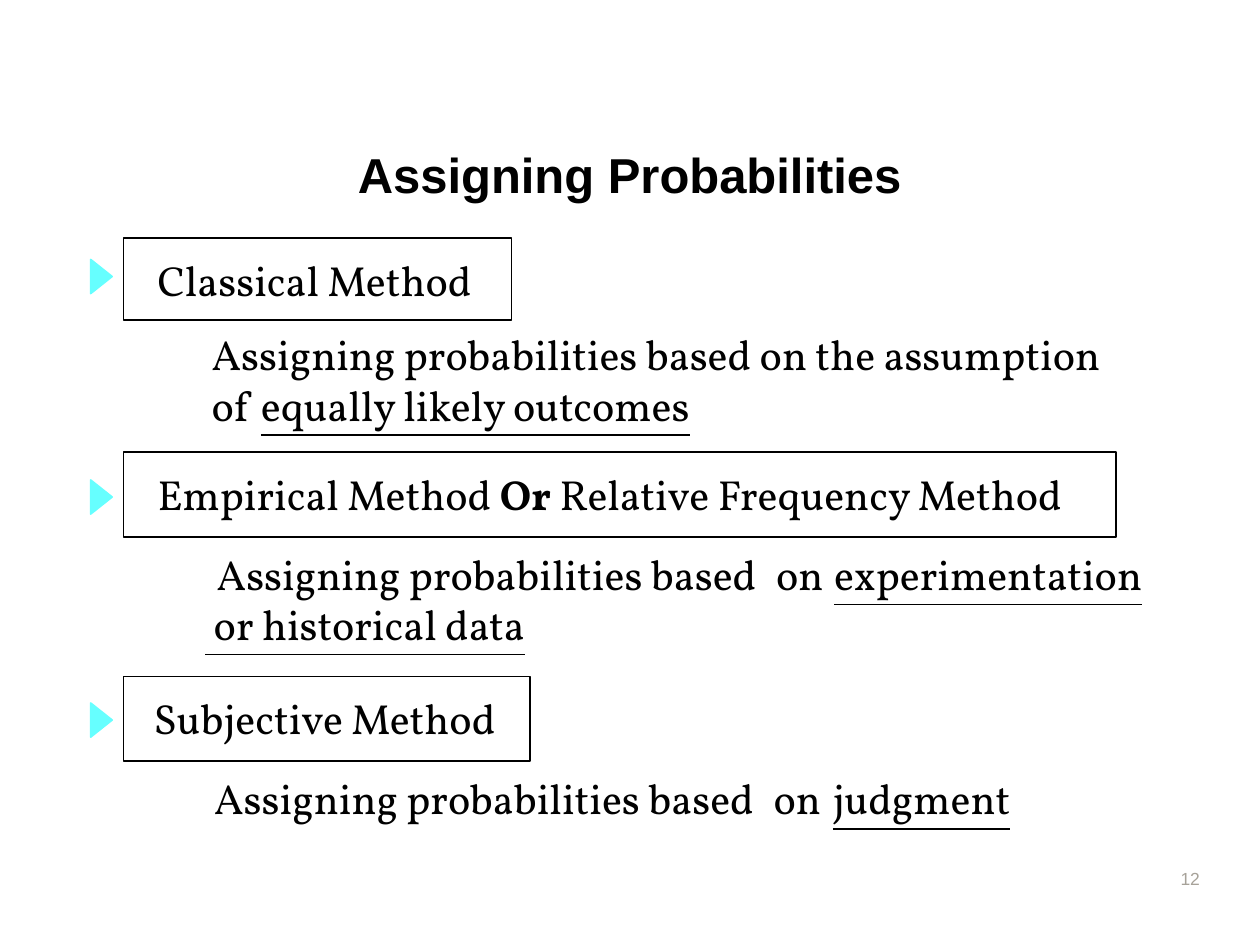
from pptx import Presentation
from pptx.dml.color import RGBColor
from pptx.enum.shapes import MSO_SHAPE
from pptx.enum.text import MSO_ANCHOR, PP_ALIGN
from pptx.util import Inches, Pt

BLACK = RGBColor(0x00, 0x00, 0x00)
CYAN = RGBColor(0x66, 0xFF, 0xFF)
GRAY = RGBColor(0xA7, 0xA2, 0x99)
RECTANGLE = MSO_SHAPE.RECTANGLE
TOP = MSO_ANCHOR.TOP
LEFT = PP_ALIGN.LEFT
HEADING_FONT = "Arial"
BODY_FONT = "Vollkorn"
BODY_SIZE = 24
BOX_LEFT = 0.98
MARKER_LEFT = 0.72
MARKER_WIDTH = 0.17
MARKER_HEIGHT = 0.27
PLAIN, BOLD, UNDERLINE = "plain", "bold", "underline"


def set_margins(text_frame, left, top):
    text_frame.word_wrap = True
    text_frame.vertical_anchor = TOP
    text_frame.margin_left = Inches(left)
    text_frame.margin_top = Inches(top)
    text_frame.margin_right = text_frame.margin_bottom = 0


def add_runs(paragraph, runs, font_name=BODY_FONT, size=BODY_SIZE, color=BLACK):
    paragraph.alignment = LEFT
    for text, style in runs:
        run = paragraph.add_run()
        run.text = text
        run.font.name = font_name
        run.font.size = Pt(size)
        run.font.color.rgb = color
        run.font.bold = style == BOLD
        run.font.underline = style == UNDERLINE


def add_line(slide, left, top, width, height, runs, spacing=26, **font):
    text_box = slide.shapes.add_textbox(
        Inches(left), Inches(top), Inches(width), Inches(height))
    set_margins(text_box.text_frame, 0.01, 0.02)
    paragraph = text_box.text_frame.paragraphs[0]
    paragraph.line_spacing = Pt(spacing)
    add_runs(paragraph, runs, **font)
    return text_box.text_frame


def add_second_line(text_frame, runs):
    paragraph = text_frame.add_paragraph()
    paragraph.line_spacing = Pt(28.6)
    add_runs(paragraph, runs)


def add_marker(slide, left, top):
    builder = slide.shapes.build_freeform(Inches(left), Inches(top))
    builder.add_line_segments([
        (Inches(left), Inches(top + MARKER_HEIGHT)),
        (Inches(left + MARKER_WIDTH), Inches(top + MARKER_HEIGHT / 2)),
    ], close=True)
    marker = builder.convert_to_shape()
    marker.shadow.inherit = False
    marker.fill.solid()
    marker.fill.fore_color.rgb = CYAN
    marker.line.color.rgb = CYAN
    marker.line.width = Pt(1)


def add_method(slide, top, width, height, marker_top, indent, runs):
    box = slide.shapes.add_shape(
        RECTANGLE, Inches(BOX_LEFT), Inches(top), Inches(width), Inches(height))
    box.shadow.inherit = False
    box.fill.background()
    box.line.color.rgb = BLACK
    box.line.width = Pt(1)
    set_margins(box.text_frame, indent, 0.13)
    add_runs(box.text_frame.paragraphs[0], runs)
    add_marker(slide, MARKER_LEFT, marker_top)


def add_based_on(slide, left, top, on_left, basis_left, basis_width, basis):
    text_frame = add_line(slide, left, top, 4.44, 0.36,
                          [("Assigning probabilities based", PLAIN)])
    add_line(slide, on_left, top, 0.45, 0.36, [("on", PLAIN)])
    add_line(slide, basis_left, top, basis_width, 0.36, [(basis, UNDERLINE)])
    return text_frame


def add_classical(slide):
    add_method(slide, 1.89, 3.08, 0.65, 2.06, 0.27, [("Classical Method", PLAIN)])
    text_frame = add_line(
        slide, 1.67, 2.63, 7.26, 0.76,
        [("Assigning probabilities based on the assumption", PLAIN)])
    add_second_line(text_frame, [("of ", PLAIN), ("equally likely outcomes", UNDERLINE)])


def add_empirical(slide):
    add_method(slide, 3.59, 7.88, 0.67, 3.81, 0.27, [
        ("Empirical Method ", PLAIN), ("Or ", BOLD),
        ("Relative Frequency Method", PLAIN)])
    text_frame = add_based_on(slide, 1.62, 4.37, 6.15, 6.61, 2.5, "experimentation")
    first_line = text_frame.paragraphs[0]
    first_line._p.get_or_add_pPr().set("marL", str(Inches(0.09)))
    add_second_line(text_frame, [(" or historical data", UNDERLINE)])


def add_subjective(slide):
    add_method(slide, 5.37, 3.23, 0.67, 5.58, 0.24, [("Subjective Method", PLAIN)])
    add_based_on(slide, 1.69, 6.15, 6.13, 6.6, 1.5, "judgment")


def main():
    presentation = Presentation()
    presentation.slide_width = Inches(10)
    presentation.slide_height = Inches(7.5)
    slide = presentation.slides.add_slide(presentation.slide_layouts[6])
    add_line(slide, 2.83, 1.18, 4.41, 0.42, [("Assigning Probabilities", BOLD)],
             spacing=29.6, font_name=HEADING_FONT, size=28)
    add_classical(slide)
    add_empirical(slide)
    add_subjective(slide)
    add_line(slide, 9.36, 6.88, 0.2, 0.17, [("12", PLAIN)],
             spacing=11.2, font_name=HEADING_FONT, size=10, color=GRAY)
    presentation.save("out.pptx")


if __name__ == "__main__":
    main()
